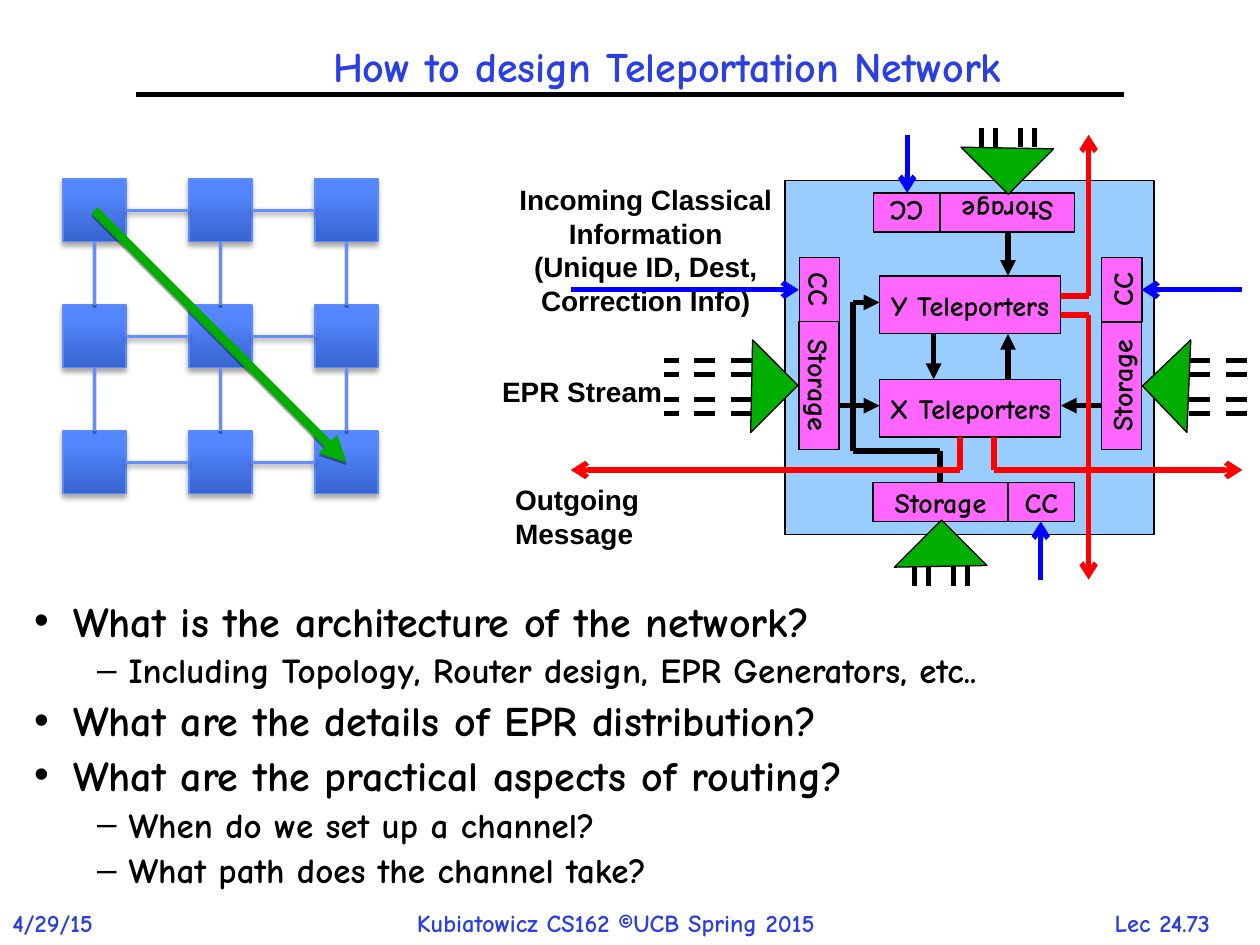
from dataclasses import dataclass
from typing import Optional

from lxml.etree import SubElement
from pptx import Presentation
from pptx.dml.color import RGBColor
from pptx.enum.dml import MSO_LINE
from pptx.enum.shapes import MSO_CONNECTOR, MSO_SHAPE as Kind
from pptx.enum.text import MSO_ANCHOR as Anchor, MSO_AUTO_SIZE as Fit, PP_ALIGN as Align
from pptx.oxml.ns import qn
from pptx.util import Inches, Pt

COMIC, ARIAL = "Comic Neue", "Arial"
BLACK, BLUE, RED, GREEN = "000000", "0000FF", "FF0000", "00AE00"
PINK, SKY, TITLE, MESH = "FF66FF", "99CCFF", "2A40E2", "618FFD"


@dataclass
class Box:
    left: float
    top: float
    width: float
    height: float
    text: str = ""
    turn: float = 0
    fill: str = PINK
    kind: Kind = Kind.RECTANGLE


@dataclass
class Wire:
    x1: float
    y1: float
    x2: float
    y2: float
    color: str = BLACK
    head: str = ""
    width: float = 3
    dash: bool = False
    shade: Optional[float] = None


@dataclass
class Label:
    left: float
    top: float
    width: float
    height: float
    lines: tuple
    align: Align = Align.LEFT
    font: str = ARIAL
    size: int = 16
    color: str = BLACK
    wrap: bool = True


def rgb(code: str) -> RGBColor:
    return RGBColor.from_string(code)


def write(para, text: str, font: str, size: float, color: str) -> None:
    run = para.add_run()
    run.text = text
    run.font.name, run.font.size, run.font.bold = font, Pt(size), True
    run.font.color.rgb = rgb(color)


def shadow(shape, alpha: int = 0, blur: float = 0, dist: float = 0) -> None:
    """Replace the theme shadow with a downward one, or none when alpha is 0."""
    effect = SubElement(shape._element.spPr, qn("a:effectLst"))
    if alpha:
        outer = SubElement(effect, qn("a:outerShdw"), blurRad=str(Pt(blur)),
                           dist=str(Pt(dist)), dir="5400000", rotWithShape="0")
        tint = SubElement(outer, qn("a:srgbClr"), val=BLACK)
        SubElement(tint, qn("a:alpha"), val=str(alpha * 1000))


def add_box(slide, box: Box):
    shape = slide.shapes.add_shape(box.kind, Inches(box.left), Inches(box.top),
                                   Inches(box.width), Inches(box.height))
    shape.rotation = box.turn
    shape.fill.solid()
    shape.fill.fore_color.rgb = rgb(box.fill)
    shape.line.color.rgb, shape.line.width = rgb(BLACK), Pt(0.75)
    shadow(shape)
    if box.text:
        frame = shape.text_frame
        frame.word_wrap, frame.vertical_anchor = False, Anchor.MIDDLE
        frame.paragraphs[0].alignment = Align.CENTER
        write(frame.paragraphs[0], box.text, COMIC, 16, BLACK)
    return shape


def add_node(slide, left: float, top: float):
    node = slide.shapes.add_shape(Kind.RECTANGLE, Inches(left), Inches(top),
                                  Inches(0.5), Inches(0.5))
    node.fill.gradient()
    node.fill.gradient_angle = 90
    stops = zip(node.fill.gradient_stops, ("3764CE", "5487FF"), (0, 0.8))
    for stop, color, place in stops:
        stop.color.rgb, stop.position = rgb(color), place
    node.line.color.rgb, node.line.width = rgb("5B8AFB"), Pt(0.75)
    shadow(node, 35, 3.1, 1.8)
    return node


def find_site(boxes: list, x: int, y: int):
    """Find the box and site whose side middle lies at the point, turned boxes included."""
    for box in boxes:
        turns = int(box.rotation // 90)
        wide, high = box.width / 2, box.height / 2
        if turns % 2:
            wide, high = high, wide
        sides = ((0, -high), (-wide, 0), (0, high), (wide, 0))
        for site in range(4):
            dx, dy = sides[(site - turns) % 4]
            gap = max(abs(box.left + box.width / 2 + dx - x),
                      abs(box.top + box.height / 2 + dy - y))
            if gap < Inches(0.03):
                return box, site
    return None


def add_wire(slide, wire: Wire, boxes: list) -> None:
    x1, y1, x2, y2 = (Inches(v) for v in (wire.x1, wire.y1, wire.x2, wire.y2))
    line = slide.shapes.add_connector(MSO_CONNECTOR.STRAIGHT, x1, y1, x2, y2)
    for join, x, y in ((line.begin_connect, x1, y1), (line.end_connect, x2, y2)):
        found = find_site(boxes, x, y)
        if found:
            join(*found)
    # Joining ignores rotation, so the ends are set again.
    line.begin_x, line.begin_y, line.end_x, line.end_y = x1, y1, x2, y2
    line.line.color.rgb, line.line.width = rgb(wire.color), Pt(wire.width)
    if wire.dash:
        line.line.dash_style = MSO_LINE.DASH
    if wire.head:
        SubElement(line._element.spPr.find(qn("a:ln")), qn("a:tailEnd"), type=wire.head)
    if wire.shade is None:
        shadow(line)
    else:
        shadow(line, 38, wire.shade, 1.6)


def add_label(slide, label: Label) -> None:
    area = slide.shapes.add_textbox(Inches(label.left), Inches(label.top),
                                    Inches(label.width), Inches(label.height))
    frame = area.text_frame
    frame.word_wrap = label.wrap
    for i, text in enumerate(label.lines):
        para = frame.add_paragraph() if i else frame.paragraphs[0]
        para.alignment = label.align
        write(para, text, label.font, label.size, label.color)


def place(shape, left: float, top: float, width: float, height: float):
    shape.left, shape.top = Inches(left), Inches(top)
    shape.width, shape.height = Inches(width), Inches(height)
    shape.text_frame.auto_size = Fit.NONE
    return shape.text_frame


def add_title(slide, text: str) -> None:
    frame = place(slide.shapes.title, 0.67, -0.08, 9.25, 1.25)
    frame.vertical_anchor = Anchor.MIDDLE
    para = frame.paragraphs[0]
    para.alignment, para.line_spacing = Align.CENTER, 0.9
    write(para, text, COMIC, 24, TITLE)


def add_list(slide, items: tuple) -> None:
    frame = place(slide.placeholders[1], 0.17, 4.75, 9.33, 2.42)
    styles = (("•", 24, 0.31, 0.31, 8), ("–", 20, 0.75, 0.25, 6.8))
    for i, (level, text) in enumerate(items):
        mark, size, margin, hang, gap = styles[level]
        para = frame.add_paragraph() if i else frame.paragraphs[0]
        para.level, para.line_spacing = level, 0.8
        para.space_before = Pt(gap if i else 0)
        props = para._p.get_or_add_pPr()
        props.set("marL", str(Inches(margin)))
        props.set("indent", str(-Inches(hang)))
        SubElement(props, qn("a:buChar"), char=mark)
        write(para, text, COMIC, size, BLACK)


def add_mesh(slide) -> None:
    nodes = [add_node(slide, 0.5 + col, 1.42 + row) for row in range(3) for col in range(3)]
    for far in range(3):
        for near in range(2):
            add_wire(slide, Wire(near + 1, far + 1.67, near + 1.5, far + 1.67,
                                 MESH, width=2, shade=3.1), nodes)
            add_wire(slide, Wire(far + 0.75, near + 1.92, far + 0.75, near + 2.42,
                                 MESH, width=2, shade=0), nodes)
    add_wire(slide, Wire(0.75, 1.67, 2.75, 3.67, GREEN, "triangle", 5, shade=0), nodes)


def add_router(slide) -> None:
    add_box(slide, Box(6.23, 1.43, 2.93, 2.81, fill=SKY))
    for label in (
        Label(3.83, 2.92, 1.58, 0.37, ("EPR Stream",), Align.CENTER),
        Label(4, 1.4, 2.25, 1.17, ("Incoming Classical Information",
                                   "(Unique ID, Dest, Correction Info)"), Align.CENTER),
        Label(3.99, 3.78, 1.3, 0.62, ("Outgoing Message",)),
    ):
        add_label(slide, label)
    boxes = [add_box(slide, box) for box in (
        Box(6.98, 2.19, 1.44, 0.46, "Y Teleporters"),
        Box(6.98, 3.01, 1.44, 0.46, "X Teleporters"),
        Box(5.99, 2.9, 1.02, 0.32, "Storage", 90),
        Box(6.93, 3.83, 1.07, 0.31, "Storage"),
        Box(8.39, 2.9, 1.02, 0.32, "Storage", 270),
        Box(7.46, 1.53, 1.07, 0.31, "Storage", 180),
        Box(6.25, 2.14, 0.51, 0.32, "CC", 90),
        Box(8, 3.83, 0.53, 0.31, "CC"),
        Box(8.65, 2.14, 0.51, 0.32, "CC", 270),
        Box(6.93, 1.53, 0.53, 0.31, "CC", 180),
    )]
    inner = [Wire(*ends, head="triangle") for ends in (
        (7.41, 2.65, 7.41, 3.01), (8, 3.01, 8, 2.65), (6.66, 3.22, 6.98, 3.22),
        (8.74, 3.22, 8.42, 3.22), (6.77, 2.4, 6.98, 2.4), (8, 1.84, 8, 2.19))]
    bends = [Wire(*ends) for ends in (
        (7.46, 3.83, 7.46, 3.58), (6.77, 3.58, 7.46, 3.58), (6.77, 3.58, 6.77, 2.4))]
    inputs = [Wire(*ends, BLUE, "arrow") for ends in (
        (4.53, 2.3, 6.34, 2.3), (7.2, 1.07, 7.2, 1.53),
        (9.86, 2.3, 9.06, 2.3), (8.26, 4.6, 8.26, 4.14))]
    stubs = []
    for step in (-0.21, -0.1, 0.1, 0.21):
        for start, end in ((5.97, 5.27), (9.44, 9.92)):
            stubs.append(Wire(start, 3.07 + step, end, 3.07 + step, dash=True))
        for x, start, end in ((8, 1.17, 1.02), (7.47, 4.49, 4.65)):
            stubs.append(Wire(x + step, start, x + step, end, dash=True))
    outputs = [Wire(*ends, RED) for ends in (
        (7.62, 3.73, 7.62, 3.47), (7.89, 3.73, 7.89, 3.47),
        (8.64, 2.5, 8.42, 2.5), (8.64, 2.35, 8.42, 2.35))]
    outputs += [Wire(*ends, RED, "arrow") for ends in (
        (7.62, 3.73, 4.53, 3.73), (7.89, 3.73, 9.86, 3.73),
        (8.64, 2.5, 8.64, 4.6), (8.64, 2.35, 8.64, 1.07))]
    for wire in inner + bends + inputs:
        add_wire(slide, wire, boxes)
    for left, top, width, height, turn in (
        (5.71, 2.8, 0.51, 0.53, 225.1), (7.2, 4.24, 0.53, 0.51, 135.1),
        (9.18, 2.8, 0.51, 0.53, 46.3), (7.74, 0.91, 0.51, 0.53, 314.9),
    ):
        add_box(slide, Box(left, top, width, height, "", turn, GREEN, Kind.RIGHT_TRIANGLE))
    for wire in stubs + outputs:
        add_wire(slide, wire, boxes)


def main() -> None:
    deck = Presentation()
    deck.slide_width, deck.slide_height = Inches(10), Inches(7.5)
    slide = deck.slides.add_slide(deck.slide_layouts[1])
    for left, width, text, align in (
        (8.56, 1.33, "Lec 24.73", Align.CENTER), (0, 1, "4/29/15", Align.LEFT),
        (3.21, 3.87, "Kubiatowicz CS162 ©UCB Spring 2015", Align.LEFT),
    ):
        add_label(slide, Label(left, 7.16, width, 0.34, (text,), align, COMIC, 14, TITLE, False))
    add_wire(slide, Wire(1.08, 0.75, 8.92, 0.75), [])
    add_title(slide, "How to design Teleportation Network")
    add_list(slide, (
        (0, "What is the architecture of the network?"),
        (1, "Including Topology, Router design, EPR Generators, etc.."),
        (0, "What are the details of EPR distribution?"),
        (0, "What are the practical aspects of routing?"),
        (1, "When do we set up a channel?"),
        (1, "What path does the channel take?"),
    ))
    add_mesh(slide)
    add_router(slide)
    deck.save("out.pptx")


if __name__ == "__main__":
    main()
